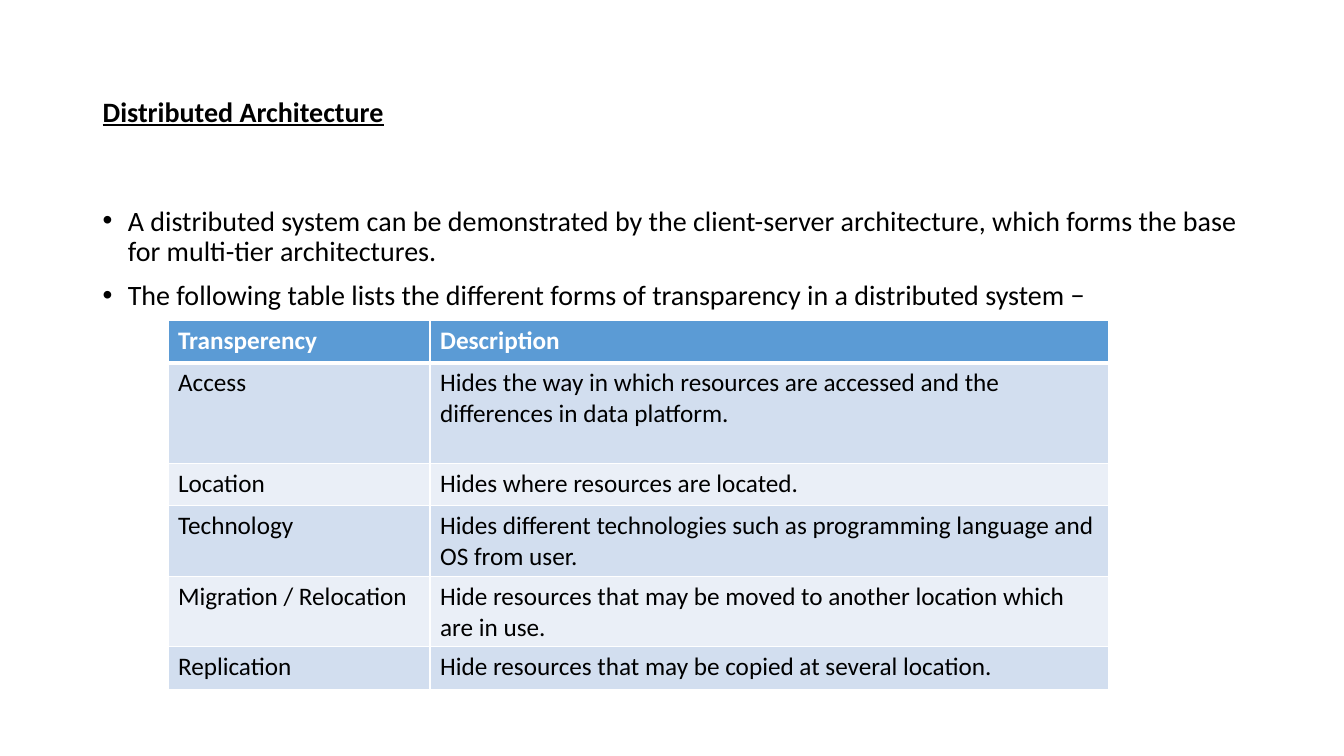
from dataclasses import dataclass

from lxml.etree import SubElement
from pptx import Presentation
from pptx.dml.color import RGBColor as Color
from pptx.enum.text import MSO_ANCHOR as Anchor
from pptx.oxml.ns import qn
from pptx.util import Emu, Inches, Pt

SLIDE_WIDTH, SLIDE_HEIGHT = Inches(13.33), Inches(7.5)


@dataclass(frozen=True)
class Theme:
    font: str = "Calibri"
    text_size: int = 20
    table_size: int = 18
    ink: str = "000000"
    white: str = "FFFFFF"
    header: str = "5B9BD5"
    bands: tuple[str, str] = ("D2DEEF", "EAEFF7")
    rule: float = 1
    header_rule: float = 3


@dataclass(frozen=True)
class Area:
    """A box in shares of the slide's width and height."""
    left: float
    top: float
    width: float
    height: float

    def box(self) -> tuple[Emu, Emu, Emu, Emu]:
        return (across(self.left), down(self.top), across(self.width), down(self.height))


@dataclass(frozen=True)
class Transparency:
    name: str
    description: str
    height: float = 0.056


THEME = Theme()
TITLE_AREA = Area(0.069, 0.053, 0.863, 0.193)
BODY_AREA = Area(0.069, 0.267, 0.863, 0.635)
TABLE_AREA = Area(0.125, 0.424, 0.7, 0.488)
COLUMN_SHARES = (0.195, 0.505)

TITLE = "Distributed Architecture"
POINTS = (
    "A distributed system can be demonstrated by the client-server architecture, "
    "which forms the base for multi-tier architectures.",
    "The following table lists the different forms of transparency in a distributed system −",
)
ROWS = (
    Transparency("Transperency", "Description"),
    Transparency("Access", "Hides the way in which resources are accessed "
                 "and the differences in data platform.", 0.133),
    Transparency("Location", "Hides where resources are located."),
    Transparency("Technology", "Hides different technologies such as programming "
                 "language and OS from user."),
    Transparency("Migration / Relocation", "Hide resources that may be moved to "
                 "another location which are in use."),
    Transparency("Replication", "Hide resources that may be copied at several location."),
)


def across(share: float) -> Emu:
    return Emu(round(SLIDE_WIDTH * share))


def down(share: float) -> Emu:
    return Emu(round(SLIDE_HEIGHT * share))


def style_font(paragraph, size: int, color: str, bold: bool = False) -> None:
    font = paragraph.font
    font.name, font.size, font.bold = THEME.font, Pt(size), bold
    font.color.rgb = Color.from_string(color)


def add_bullet(paragraph) -> None:
    properties = paragraph._p.get_or_add_pPr()
    properties.set("marL", str(Inches(0.25)))
    properties.set("indent", str(-Inches(0.25)))
    SubElement(properties, qn("a:buFont"), typeface="Arial")
    SubElement(properties, qn("a:buChar"), char="•")


def add_text(slide, area: Area, lines: tuple[str, ...], anchor: Anchor, title: bool = False) -> None:
    frame = slide.shapes.add_textbox(*area.box()).text_frame
    frame.word_wrap = True
    frame.vertical_anchor = anchor
    frame.text = "\n".join(lines)
    for paragraph in frame.paragraphs:
        paragraph.line_spacing = 0.9
        if not title:
            paragraph.space_before = Pt(10)
            add_bullet(paragraph)
        style_font(paragraph, THEME.text_size, THEME.ink, bold=title)
        if title:
            paragraph.font.underline = True


def add_borders(cell, top: float, bottom: float) -> None:
    """Draw the cell's four edges; they precede the fill in the XML."""
    properties = cell._tc.get_or_add_tcPr()
    edges = {"L": THEME.rule, "R": THEME.rule, "T": top, "B": bottom}
    for side, width in edges.items():
        line = SubElement(properties, qn(f"a:ln{side}"), w=str(Pt(width)))
        fill = SubElement(line, qn("a:solidFill"))
        SubElement(fill, qn("a:srgbClr"), val=THEME.white)


def add_table(slide, area: Area, rows: tuple[Transparency, ...]) -> None:
    table = slide.shapes.add_table(len(rows), len(COLUMN_SHARES), *area.box()).table
    for column, share in zip(table.columns, COLUMN_SHARES):
        column.width = across(share)
    for index, entry in enumerate(rows):
        is_header = index == 0
        table.rows[index].height = down(entry.height)
        fill = THEME.header if is_header else THEME.bands[(index - 1) % 2]
        top = THEME.header_rule if index == 1 else THEME.rule
        bottom = THEME.header_rule if is_header else THEME.rule
        for cell, text in zip(table.rows[index].cells, (entry.name, entry.description)):
            cell.text = text
            add_borders(cell, top, bottom)
            cell.fill.solid()
            cell.fill.fore_color.rgb = Color.from_string(fill)
            color = THEME.white if is_header else THEME.ink
            style_font(cell.text_frame.paragraphs[0], THEME.table_size, color, is_header)


def main() -> None:
    presentation = Presentation()
    presentation.slide_width, presentation.slide_height = SLIDE_WIDTH, SLIDE_HEIGHT
    slide = presentation.slides.add_slide(presentation.slide_layouts[6])
    # Heading and bullet points
    add_text(slide, TITLE_AREA, (TITLE,), Anchor.MIDDLE, title=True)
    add_text(slide, BODY_AREA, POINTS, Anchor.TOP)
    # Forms of transparency
    add_table(slide, TABLE_AREA, ROWS)
    presentation.save("out.pptx")


if __name__ == "__main__":
    main()
